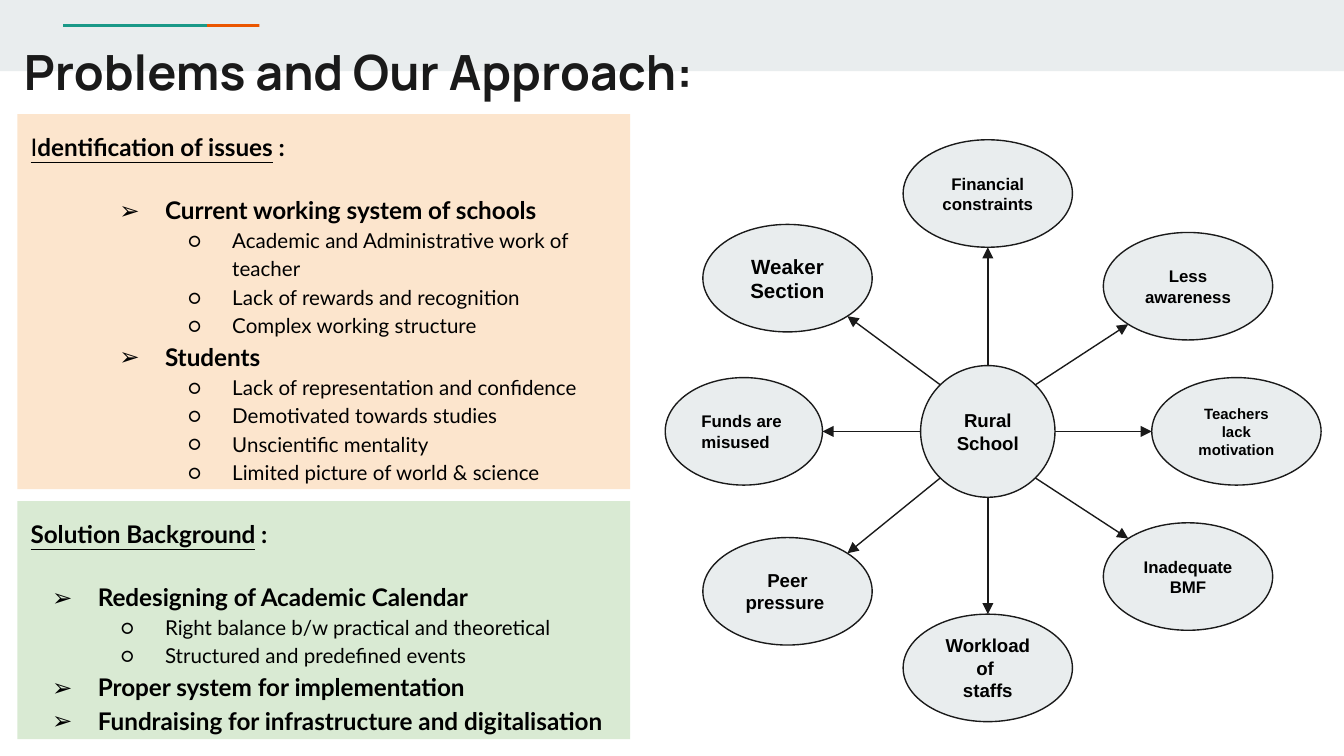
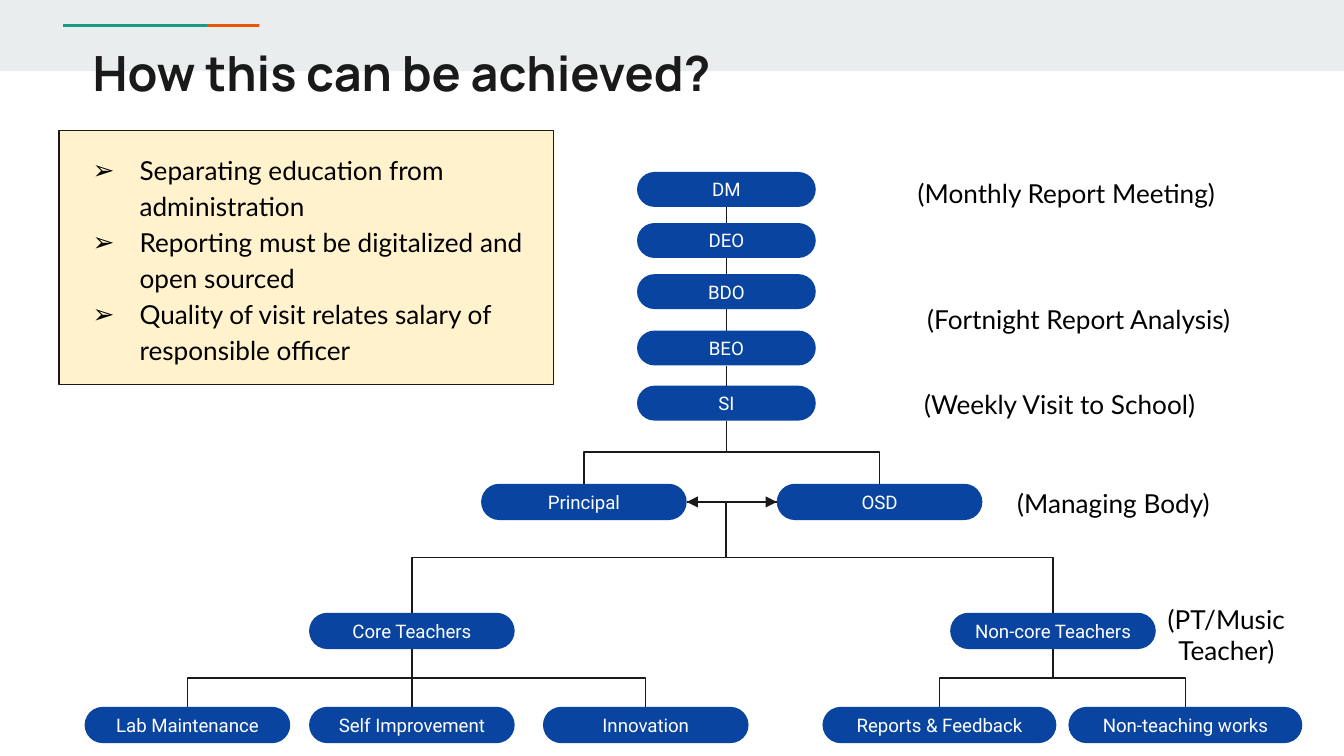
"""Build two slides: the problems of rural schools and the reporting structure."""
import math

import pptx
import pptx.dml.color
import pptx.enum.shapes
import pptx.enum.text
import pptx.oxml
import pptx.util
from lxml import etree
from pptx.oxml.ns import qn
from pptx.util import Inches

SLIDE_WIDTH = 10
SLIDE_HEIGHT = SLIDE_WIDTH * 9 / 16
INK, BLACK, WHITE = "1A1A1A", "000000", "FFFFFF"
MIST, TEAL, ORANGE, BLUE = "E9EDEE", "1A9988", "EB5600", "0944A1"
PEACH, GREEN, CREAM = "FCE5CD", "D9EAD3", "FFF2CC"
SHAPES = pptx.enum.shapes.MSO_SHAPE
CONNECTORS = pptx.enum.shapes.MSO_CONNECTOR
TOP, MIDDLE = pptx.enum.text.MSO_ANCHOR.TOP, pptx.enum.text.MSO_ANCHOR.MIDDLE
LEFT, CENTER = pptx.enum.text.PP_ALIGN.LEFT, pptx.enum.text.PP_ALIGN.CENTER

TITLE_FONT = {"name": "Manrope", "size": 26, "color": INK, "bold": True}
HEADING_FONT = {"name": "Lato", "size": 13, "color": BLACK, "bold": True}
DETAIL_FONT = {"name": "Lato", "size": 11, "color": BLACK}
NOTE_FONT = {"name": "Lato", "size": 14, "color": BLACK}
NODE_FONT = {"name": "Roboto", "size": 10, "color": WHITE}

PANELS = [
    {
        "box": (0.13, 0.85, 4.56, 2.79), "fill": PEACH, "indent": 1,
        "heading": [("I", {"underline": True, "bold": False}),
                    ("dentification of issues", {"underline": True}), (" :", {})],
        "points": [
            ("Current working system of schools", [
                "Academic and Administrative work of teacher",
                "Lack of rewards and recognition",
                "Complex working structure"]),
            ("Students", [
                "Lack of representation and confidence",
                "Demotivated towards studies",
                "Unscientific mentality",
                "Limited picture of world & science"]),
        ],
    },
    {
        "box": (0.13, 3.73, 4.56, 1.77), "fill": GREEN, "indent": 0.5,
        "heading": [("Solution Background", {"underline": True}), (" :", {})],
        "points": [
            ("Redesigning of Academic Calendar", [
                "Right balance b/w practical and theoretical",
                "Structured and predefined events"]),
            ("Proper system for implementation", []),
            ("Fundraising for infrastructure and digitalisation", []),
        ],
    },
]

HUB = ("Rural School", (6.85, 2.72, 1, 0.98), 10)
ISSUES = [
    (["Financial constraints"], (6.72, 1.04, 1.26, 0.8), 9, (0, -1), CENTER),
    (["Less awareness"], (8.21, 1.73, 1.26, 0.8), 9, (1, -1), CENTER),
    (["Teachers lack motivation"], (8.57, 2.81, 1.26, 0.8), 8, (1, 0), CENTER),
    (["Inadequate BMF"], (8.21, 3.89, 1.26, 0.8), 9, (1, 1), CENTER),
    (["Workload of ", "staffs"], (6.72, 4.57, 1.26, 0.8), 10, (0, 1), CENTER),
    (["Peer pressure "], (5.23, 4, 1.26, 0.8), 10, (-1, 1), CENTER),
    (["Funds are misused"], (4.95, 2.81, 1.17, 0.8), 9, (-1, 0), LEFT),
    (["Weaker Section"], (5.23, 1.67, 1.26, 0.8), 11, (-1, -1), CENTER),
]

GOALS = [
    "Separating education from administration",
    "Reporting must be digitalized and open sourced",
    "Quality of visit relates salary of responsible officer",
]
OFFICERS = [("DM", 1.28), ("DEO", 1.66), ("BDO", 2.04), ("BEO", 2.46), ("SI", 2.87)]
STAFF_ROWS = [
    (3.6, [("Principal", 3.58, 1.53), ("OSD", 5.78, 1.53)]),
    (4.56, [("Core Teachers", 2.3, 1.53), ("Non-core Teachers", 7.07, 1.53)]),
    (5.26, [("Lab Maintenance", 0.63, 1.53), ("Self Improvement", 2.3, 1.53),
            ("Innovation", 4.04, 1.53), ("Reports & Feedback", 6.12, 1.74),
            ("Non-teaching works", 7.95, 1.74)]),
]
BRANCHES = [
    ("SI", ["Principal", "OSD"]),
    ("Core Teachers", ["Lab Maintenance", "Innovation"]),
    ("Non-core Teachers", ["Reports & Feedback", "Non-teaching works"]),
]
MANAGEMENT_FORK = (5.4, 3.74)
NOTES = [
    ("(Monthly Report Meeting)", (6.6, 1.31, 2.67, 0.26), MIDDLE, {"align": CENTER}),
    ("(Fortnight Report Analysis)", (6.6, 2.08, 2.89, 0.59), MIDDLE, {"margin": 0.2}),
    ("(Weekly Visit to School)", (6.55, 2.86, 2.67, 0.3), MIDDLE, {"align": CENTER}),
    ("(Managing Body)", (7.47, 3.53, 2.22, 0.42), TOP, {}),
    ("(PT/Music Teacher)", (8.36, 4.59, 1.53, 0.26), MIDDLE, {"align": CENTER}),
]


def color(value):
    return pptx.dml.color.RGBColor.from_string(value)


def add_run(paragraph, text, style):
    run = paragraph.add_run()
    run.text = text
    values = dict(style)
    run.font.color.rgb = color(values.pop("color"))
    values["size"] = pptx.util.Pt(values["size"])
    for name, value in values.items():
        setattr(run.font, name, value)


def entry(text, style, **layout):
    runs = [(text, {})] if isinstance(text, str) else text
    return {"runs": runs, "style": style, **layout}


def format_paragraph(paragraph, layout):
    values = {
        "alignment": layout.get("align", LEFT),
        "level": layout.get("level", 0),
        "line_spacing": layout.get("spacing", 1.0),
        "space_before": pptx.util.Pt(layout.get("before", 0)),
    }
    for name, value in values.items():
        setattr(paragraph, name, value)
    properties = paragraph._p.get_or_add_pPr()
    properties.set("marL", str(Inches(layout.get("margin", 0))))
    properties.set("indent", str(Inches(layout.get("hanging", 0))))
    if "bullet" in layout:
        bullet_color = etree.SubElement(properties, qn("a:buClr"))
        etree.SubElement(bullet_color, qn("a:srgbClr")).set("val", BLACK)
        etree.SubElement(properties, qn("a:buFont")).set("typeface", "Lato")
        etree.SubElement(properties, qn("a:buChar")).set("char", layout["bullet"])


def write(shape, entries, anchor):
    frame = shape.text_frame
    frame.word_wrap = True
    frame.vertical_anchor = anchor
    for side in ("left", "right", "top", "bottom"):
        setattr(frame, f"margin_{side}", Inches(0.1))
    for index, item in enumerate(entries):
        paragraph = frame.add_paragraph() if index else frame.paragraphs[0]
        format_paragraph(paragraph, item)
        for text, changes in item["runs"]:
            add_run(paragraph, text, {**item["style"], **changes})


def add_box(slide, kind, box, fill, line=None, entries=(), anchor=MIDDLE):
    shape = slide.shapes.add_shape(kind, *map(Inches, box))
    shape.shadow.inherit = False
    shape.fill.solid()
    shape.fill.fore_color.rgb = color(fill)
    if line:
        shape.line.color.rgb = color(line)
        shape.line.width = pptx.util.Pt(0.75)
    else:
        shape.line.fill.background()
    if entries:
        write(shape, entries, anchor)
    return shape


def add_text(slide, box, entries, anchor):
    write(slide.shapes.add_textbox(*map(Inches, box)), entries, anchor)


def add_line(slide, start, end, kind=CONNECTORS.STRAIGHT, arrow=False):
    connector = slide.shapes.add_connector(kind, *map(Inches, (*start, *end)))
    connector.line.color.rgb = color(INK)
    connector.line.width = pptx.util.Pt(0.75)
    properties = connector._element.spPr
    if arrow:
        outline = properties.find(qn("a:ln"))
        etree.SubElement(outline, qn("a:tailEnd")).set("type", "triangle")
    etree.SubElement(properties, qn("a:effectLst"))
    return connector


def join(slide, first, first_side, second, second_side, arrow=False):
    connector = add_line(slide, (0, 0), (1, 1), arrow=arrow)
    connector.begin_connect(first, first_side)
    connector.end_connect(second, second_side)


def add_elbow(slide, start, end):
    (x1, y1), (x2, y2) = start, end
    drop, reach = y2 - y1, abs(x2 - x1)
    left, top = (x1 + x2 - drop) / 2, (y1 + y2 - reach) / 2
    connector = add_line(slide, (left, top), (left + drop, top + reach), CONNECTORS.ELBOW)
    transform = connector._element.spPr.find(qn("a:xfrm"))
    transform.set("rot", str((90 if x2 < x1 else 270) * 60000))
    if x2 > x1:
        transform.set("flipH", "1")


def start_slide(presentation, title, box):
    slide = presentation.slides.add_slide(presentation.slide_layouts[6])
    add_box(slide, SHAPES.RECTANGLE, (0, 0, SLIDE_WIDTH, 0.53), MIST)
    for left, width, fill in ((0.88, 1.05, ORANGE), (0.47, 1.07, TEAL)):
        add_box(slide, SHAPES.RECTANGLE, (left, 0.18, width, 0.02), fill)
    add_text(slide, box, [entry(title, TITLE_FONT)], TOP)
    return slide


def panel_entries(panel):
    entries = [entry(panel["heading"], HEADING_FONT, spacing=1.15)]
    margin = panel["indent"]
    for index, (point, details) in enumerate(panel["points"]):
        entries.append(entry(point, HEADING_FONT, spacing=1.15, before=0 if index else 16,
                             margin=margin, hanging=-0.34, bullet="➢"))
        entries += [entry(detail, DETAIL_FONT, spacing=1.15, level=1,
                          margin=margin + 0.5, hanging=-0.33, bullet="○")
                    for detail in details]
    return entries


def rim_point(box, direction):
    left, top, width, height = box
    across, down = direction
    scale = math.sqrt(0.5) if across and down else 1
    return (left + width / 2 * (1 + across * scale),
            top + height / 2 * (1 + down * scale))


def add_bubble(slide, lines, box, size, align=CENTER):
    style = {"name": "Arial", "size": size, "color": BLACK, "bold": True}
    add_box(slide, SHAPES.OVAL, box, MIST, INK,
            [entry(line, style, align=align) for line in lines])


def build_problems(presentation):
    slide = start_slide(presentation, "Problems and Our Approach:", (0.08, 0.21, 8.71, 0.59))
    for panel in PANELS:
        add_box(slide, SHAPES.RECTANGLE, panel["box"], panel["fill"],
                entries=panel_entries(panel), anchor=TOP)
    hub_text, hub_box, hub_size = HUB
    add_bubble(slide, [hub_text], hub_box, hub_size)
    for lines, box, size, (across, down), align in ISSUES:
        add_bubble(slide, lines, box, size, align)
        add_line(slide, rim_point(hub_box, (across, down)),
                 rim_point(box, (-across, -down)), arrow=True)


def build_structure(presentation):
    slide = start_slide(presentation, "How this can be achieved?", (0.59, 0.22, 8.41, 0.59))
    boxes = {name: (4.74, top, 1.33, 0.26) for name, top in OFFICERS}
    for top, row in STAFF_ROWS:
        boxes.update({name: (left, top, width, 0.27) for name, left, width in row})
    nodes = {}
    for name, box in boxes.items():
        nodes[name] = add_box(slide, SHAPES.ROUNDED_RECTANGLE, box, BLUE,
                              entries=[entry(name, NODE_FONT, align=CENTER)])
        nodes[name].adjustments[0] = 0.5

    for (upper, _), (lower, _) in zip(OFFICERS, OFFICERS[1:]):
        join(slide, nodes[upper], 2, nodes[lower], 0)
    join(slide, nodes["Core Teachers"], 2, nodes["Self Improvement"], 0)
    join(slide, nodes["Principal"], 3, nodes["OSD"], 1, arrow=True)
    join(slide, nodes["OSD"], 1, nodes["Principal"], 3, arrow=True)
    forks = [(rim_point(boxes[parent], (0, 1)), children) for parent, children in BRANCHES]
    forks.append((MANAGEMENT_FORK, ["Core Teachers", "Non-core Teachers"]))
    for start, children in forks:
        for child in children:
            add_elbow(slide, start, rim_point(boxes[child], (0, -1)))

    for text, box, anchor, layout in NOTES:
        add_text(slide, box, [entry(text, NOTE_FONT, **layout)], anchor)
    add_box(slide, SHAPES.RECTANGLE, (0.44, 0.97, 3.68, 1.89), CREAM, INK,
            [entry(goal, NOTE_FONT, spacing=1.15, margin=0.5, hanging=-0.35, bullet="➢")
             for goal in GOALS])


def main():
    presentation = pptx.Presentation()
    presentation.slide_width = Inches(SLIDE_WIDTH)
    presentation.slide_height = Inches(SLIDE_HEIGHT)
    build_problems(presentation)
    build_structure(presentation)
    presentation.save("out.pptx")


if __name__ == "__main__":
    main()
